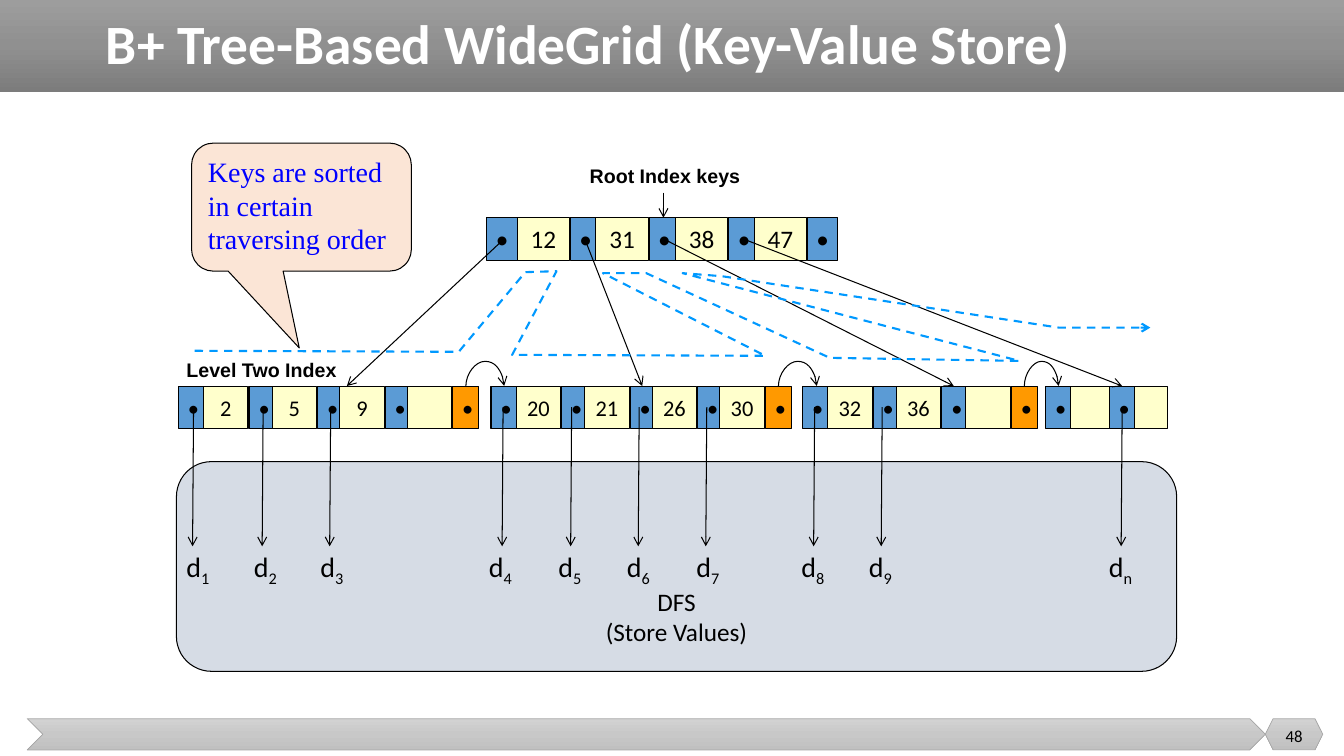
from copy import deepcopy
from pptx import Presentation
from pptx.dml.color import RGBColor
from pptx.enum.dml import MSO_LINE
from pptx.enum.shapes import MSO_CONNECTOR, MSO_SHAPE
from pptx.enum.text import MSO_ANCHOR, PP_ALIGN
from pptx.oxml.ns import qn
from pptx.util import Emu, Pt
from lxml import etree

RECT, ROUND = MSO_SHAPE.RECTANGLE, MSO_SHAPE.ROUNDED_RECTANGLE
CHEVRON, HEXAGON = MSO_SHAPE.CHEVRON, MSO_SHAPE.HEXAGON
CALLOUT = MSO_SHAPE.ROUNDED_RECTANGULAR_CALLOUT
STRAIGHT, CURVE = MSO_CONNECTOR.STRAIGHT, MSO_CONNECTOR.CURVE
LEFT, CENTER = PP_ALIGN.LEFT, PP_ALIGN.CENTER
TOP, MIDDLE, BOTTOM = MSO_ANCHOR.TOP, MSO_ANCHOR.MIDDLE, MSO_ANCHOR.BOTTOM
DASH = MSO_LINE.DASH

PX = 9144
COLORS = {
    "black": "000000", "white": "FFFFFF", "pointer": "5B9BD5", "key": "FFFFCC",
    "link": "FF9900", "store": "D6DCE5", "callout": "FBE5D6", "note": "0000FF",
    "path": "0099FF", "footer": "A5A5A5",
}
BANNER = ("9D9D9D", "909090", "7C7C7C")
FOOTER = ("D2D2D2", "C8C8C8", "C0C0C0")


def px(*values):
    return [Emu(round(v * PX)) for v in values]


def rgb(name):
    return RGBColor.from_string(COLORS.get(name, name))


class Deck:
    def __init__(self):
        self.prs = Presentation()
        self.prs.slide_width, self.prs.slide_height = px(1333, 750)
        self.s = self.prs.slides.add_slide(self.prs.slide_layouts[5])

    def set_text(self, tf, lines, size, color="black", font="Calibri", bold=False, align=CENTER,
                 anchor=MIDDLE, margins=(0, 0, 0, 0), wrap=False, sub=None, spacing=None):
        left, top, right, bottom = px(*margins)
        frame = {"word_wrap": wrap, "vertical_anchor": anchor, "margin_left": left,
                 "margin_top": top, "margin_right": right, "margin_bottom": bottom}
        for name, value in frame.items():
            setattr(tf, name, value)
        for i, line in enumerate(lines):
            p = tf.paragraphs[0] if i == 0 else tf.add_paragraph()
            p.alignment, p.line_spacing = align, spacing
            for text in filter(None, (line, sub)):
                r = p.add_run()
                r.text = text
                for name, value in {"size": Pt(size), "name": font, "bold": bold}.items():
                    setattr(r.font, name, value)
                r.font.color.rgb = rgb(color)
                if text == sub:
                    r._r.get_or_add_rPr().set("baseline", "-25000")

    def title(self, text, box):
        sp = self.s.shapes.title
        sp.left, sp.top, sp.width, sp.height = px(*box)
        self.s.shapes._spTree.append(sp._element)
        self.set_text(sp.text_frame, [text], 39.6, "white", bold=True, wrap=True, spacing=0.9)

    def shape(self, kind, box, fill, line="black", width=0.75):
        sp = self.s.shapes.add_shape(kind, *px(*box))
        sp.shadow.inherit = False
        if isinstance(fill, tuple):
            self.gradient(sp, fill)
        else:
            sp.fill.solid()
            sp.fill.fore_color.rgb = rgb(fill)
        self.outline(sp, line, width)
        return sp

    def gradient(self, sp, colors):
        sp.fill.gradient()
        sp.fill.gradient_angle = 270
        stops = sp._element.spPr.find(qn("a:gradFill")).find(qn("a:gsLst"))
        stops.insert(1, deepcopy(stops[0]))
        for i, (stop, color) in enumerate(zip(sp.fill.gradient_stops, colors)):
            stop.position = i / 2
            stop.color.rgb = rgb(color)

    def outline(self, sp, color, width, arrow=False, dash=None):
        if color is None:
            sp.line.fill.background()
            return
        sp.line.color.rgb = rgb(color)
        sp.line.width = Pt(width)
        if dash:
            sp.line.dash_style = dash
        if arrow:
            etree.SubElement(sp.line._get_or_add_ln(), qn("a:tailEnd"), type="arrow")

    def label(self, text, box, size, **style):
        sp = self.s.shapes.add_textbox(*px(*box))
        self.set_text(sp.text_frame, [text], size, **style)

    def arrow(self, x1, y1, x2, y2, kind=STRAIGHT):
        c = self.s.shapes.add_connector(kind, *px(x1, y1, x2, y2))
        self.outline(c, "black", 0.75, arrow=True)
        etree.SubElement(c._element.spPr, qn("a:effectLst"))
        return c

    def hop(self, x1, x2, y, rise=25):
        middle, half = (x1 + x2) / 2, (x2 - x1) / 2
        c = self.arrow(middle + 0.1, y + half, middle - 0.1, y - half, CURVE)
        c._element.spPr.find(qn("a:xfrm")).set("rot", "5400000")
        guides = c._element.spPr.find(qn("a:prstGeom")).get_or_add_avLst()
        factor = round(rise / 0.2 * 100000)
        etree.SubElement(guides, qn("a:gd"), name="adj1", fmla=f"val {factor}")

    def path_line(self, points):
        builder = self.s.shapes.build_freeform(*points[0], scale=PX)
        builder.add_line_segments(points[1:], close=False)
        sp = builder.convert_to_shape()
        sp.shadow.inherit = False
        sp.fill.background()
        self.outline(sp, "path", 1.5, arrow=True, dash=DASH)

    def cell(self, x, y, w, fill, text, size, shift=0):
        sp = self.shape(RECT, (x, y, w, 42), fill)
        if text:
            self.set_text(sp.text_frame, [text], size, margins=(shift, 0, 0, 0))

    def node(self, x, y, keys, pointer_w=26, key_w=44, pitch=67.5, size=16, shift=4, tail="link"):
        first_key = x + pointer_w - (size == 16)
        self.cell(x, y, pointer_w, "pointer", "•", size, shift)
        for i, key in enumerate(keys):
            key_x = first_key + round(i * pitch)
            self.cell(key_x, y, key_w, "key", key, size)
            fill = tail if i == len(keys) - 1 else "pointer"
            if fill:
                self.cell(key_x + key_w + 1, y, pointer_w, fill, "•", size, shift)


def main():
    deck = Deck()
    deck.shape(RECT, (0, 0, 1333, 91), BANNER, None)
    deck.shape(CHEVRON, (27, 713, 1228, 31), FOOTER, "footer", 0.5)
    deck.shape(HEXAGON, (1255, 713, 57, 31), FOOTER, "footer", 0.5)
    deck.label("48", (1255, 710, 57, 40), 12)
    deck.title("B+ Tree-Based WideGrid (Key-Value Store)", (25, 17, 1117, 58))

    store = deck.shape(ROUND, (175, 458, 992, 208), "store")
    deck.set_text(store.text_frame, ["DFS", "(Store Values)"], 18, anchor=BOTTOM,
                  margins=(10, 5, 10, 14))

    text_box = {"align": LEFT, "anchor": TOP, "margins": (10, 5, 10, 5)}
    heading = {"font": "Arial", "bold": True, **text_box}
    deck.label("Root Index keys", (575, 158, 170, 33), 14, **heading)
    deck.label("Level Two Index", (175, 350, 169, 33), 14, **heading)

    root_y, leaf_y = 216, 383
    deck.node(483, root_y, ["12", "31", "38", "47"], 30, 52, 78.4, 18, 0, "pointer")
    deck.node(177, leaf_y, ["2", "5", "9", ""])
    deck.node(487, leaf_y, ["20", "21", "26", "30"])
    deck.node(796, leaf_y, ["32", "36", ""], pitch=68.5)
    deck.node(1037, leaf_y, [""], key_w=39, tail=None)
    deck.node(1100, leaf_y, [""], key_w=33, tail=None)

    deck.arrow(658, 191, 658, root_y)
    for start, end in ((500, 344), (580, 637), (658, 946), (737, 1113)):
        deck.arrow(start, 237, end, leaf_y)
    for start, end in ((462, 500), (772, 810), (1016, 1050)):
        deck.hop(start, end, leaf_y)

    values = (("1", 192, 175), ("2", 261, 242), ("3", 328, 308), ("4", 499, 475),
              ("5", 567, 544), ("6", 634, 612), ("7", 701, 681), ("8", 808, 785),
              ("9", 875, 852), ("n", 1113, 1090))
    for sub, arrow_x, label_x in values:
        deck.arrow(arrow_x, 404, arrow_x - 1, 542)
        deck.label("d", (label_x, 540, 44, 44), 20, sub=sub, **text_box)

    deck.path_line([(193, 348), (455, 349), (521, 270), (552, 269), (508, 352),
                    (759, 353), (598, 271), (641, 271), (823, 355), (1011, 358),
                    (677, 271), (716, 274), (1050, 325), (1141, 325)])

    callout = deck.shape(CALLOUT, (190, 142, 218, 127), "callout")
    for i, value in enumerate((-0.01, 1.1, 0.17)):
        callout.adjustments[i] = value
    deck.set_text(callout.text_frame, ["Keys are sorted in certain traversing order"], 20,
                  "note", "Times New Roman", wrap=True, **text_box)
    deck.prs.save("out.pptx")


if __name__ == "__main__":
    main()
